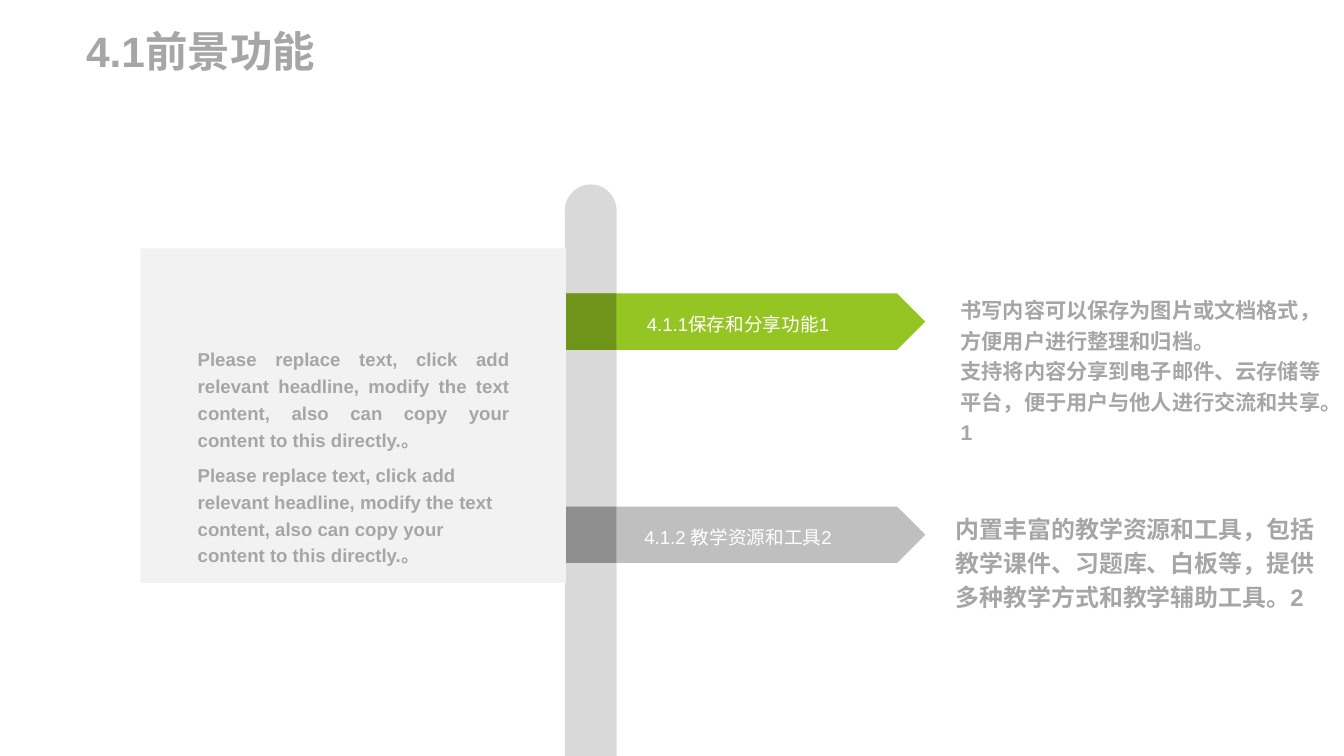
from pptx import Presentation
from pptx.dml.color import RGBColor
from pptx.enum.shapes import MSO_SHAPE
from pptx.enum.text import MSO_ANCHOR, MSO_AUTO_SIZE, PP_ALIGN
from pptx.util import Inches, Pt

GRAY = "A6A6A6"
POLE_X, POLE_W = 5.91, 0.54
SAMPLE = ("Please replace text, click add relevant headline, modify the text "
          "content, also can copy your content to this directly.。")
ITEMS = [
    # top, arrow colour, fold colour, label, note, note box, note size
    (3.07, "95C523", "70941A", "4.1.1保存和分享功能1",
     "书写内容可以保存为图片或文档格式，方便用户进行整理和归档。\v"
     "支持将内容分享到电子邮件、云存储等平台，便于用户与他人进行交流和共享。1",
     (9.95, 3.01, 3.99, 0.85), 16),
    (5.3, "BFBFBF", "8F8F8F", "4.1.2 教学资源和工具2",
     "内置丰富的教学资源和工具，包括教学课件、习题库、白板等，"
     "提供多种教学方式和教学辅助工具。2",
     (9.9, 5.27, 4.14, 0.75), 18),
]


def paint(target, color):
    """Give a font or a solid fill its colour."""
    rgb = RGBColor.from_string(color)
    if hasattr(target, "solid"):
        target.solid()
        target.fore_color.rgb = rgb
    else:
        target.color.rgb = rgb


def assign(target, values):
    for name, value in values.items():
        setattr(target, name, value)


def write(shape, text, size, color=GRAY, bold=True, align=PP_ALIGN.LEFT,
          space=1.2, **frame):
    """Fill a shape with one formatted paragraph."""
    box = shape.text_frame
    assign(box, {"word_wrap": True, **frame})
    box.text = text
    para = box.paragraphs[0]
    assign(para, {"alignment": align, "line_spacing": space})
    for run in para.runs:
        assign(run.font, {"name": "Arial", "size": Pt(size), "bold": bold})
        paint(run.font, color)


def add_block(shapes, kind, place, color):
    block = shapes.add_shape(kind, *map(Inches, place))
    block.shadow.inherit = False
    paint(block.fill, color)
    block.line.fill.background()
    return block


def add_note(shapes, place, text, size, **style):
    write(shapes.add_textbox(*map(Inches, place)), text, size, **style)


def add_title(slide, text):
    title = slide.shapes.title
    assign(title, {"left": Inches(0.9), "top": Inches(0.26),
                   "width": Inches(12.51), "height": Inches(0.54)})
    sides = ("left", "top", "right", "bottom")
    write(title, text, 32, space=1.0, vertical_anchor=MSO_ANCHOR.MIDDLE,
          auto_size=MSO_AUTO_SIZE.SHAPE_TO_FIT_TEXT,
          **{f"margin_{side}": 0 for side in sides})


def add_pole(shapes):
    pole = add_block(shapes, MSO_SHAPE.ROUND_2_SAME_RECTANGLE,
                     (POLE_X, 1.93, POLE_W, 5.98), "D9D9D9")
    pole.adjustments[0] = 0.5
    pole.adjustments[1] = 0


def add_sign(shapes, top, color, fold, label):
    """Draw an arrow sign with a dark fold where it wraps the pole."""
    sign = shapes.add_group_shape().shapes
    arrow = add_block(sign, MSO_SHAPE.PENTAGON, (POLE_X, top, 3.77, 0.59), color)
    write(arrow, label, 14, "FFFFFF", False, PP_ALIGN.CENTER,
          vertical_anchor=MSO_ANCHOR.MIDDLE)
    add_block(sign, MSO_SHAPE.RECTANGLE, (POLE_X, top, POLE_W, 0.59), fold)


def add_panel(shapes):
    panel = shapes.add_group_shape().shapes
    add_block(panel, MSO_SHAPE.RECTANGLE, (1.47, 2.6, 4.45, 3.5), "F2F2F2")
    for top, align in ((3.55, PP_ALIGN.JUSTIFY), (4.76, PP_ALIGN.LEFT)):
        add_note(panel, (1.97, top, 3.46, 1.17), SAMPLE, 14, align=align,
                 auto_size=MSO_AUTO_SIZE.SHAPE_TO_FIT_TEXT)


def main():
    deck = Presentation()
    assign(deck, {"slide_width": Inches(14.06), "slide_height": Inches(7.91)})
    slide = deck.slides.add_slide(deck.slide_layouts[5])
    shapes = slide.shapes
    add_title(slide, "4.1前景功能")
    add_pole(shapes)
    for top, color, fold, label, note, place, size in ITEMS:
        add_sign(shapes, top, color, fold, label)
        add_note(shapes, place, note, size)
    add_panel(shapes)
    deck.save("out.pptx")


if __name__ == "__main__":
    main()
